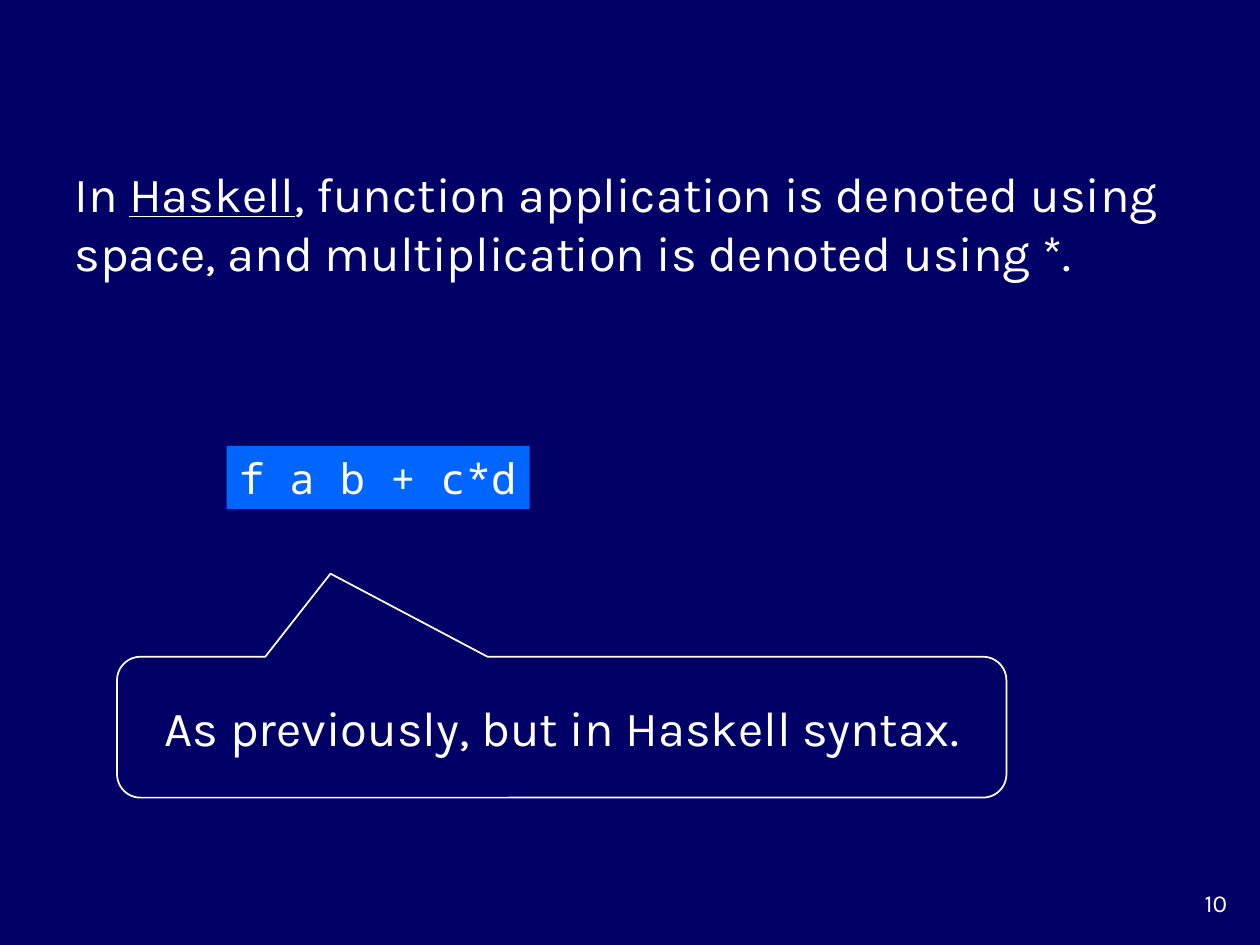
from pptx import Presentation
from pptx.dml.color import RGBColor
from pptx.enum.shapes import MSO_SHAPE
from pptx.enum.text import MSO_ANCHOR, PP_ALIGN
from pptx.util import Cm, Pt

NAVY = RGBColor(0x00, 0x00, 0x66)
BLUE = RGBColor(0x00, 0x66, 0xFF)
WHITE = RGBColor(0xFF, 0xFF, 0xFF)
RECT = MSO_SHAPE.RECTANGLE
CALLOUT = MSO_SHAPE.ROUNDED_RECTANGULAR_CALLOUT
LEFT, CENTER, RIGHT = PP_ALIGN.LEFT, PP_ALIGN.CENTER, PP_ALIGN.RIGHT
TOP, MIDDLE = MSO_ANCHOR.TOP, MSO_ANCHOR.MIDDLE


def write(shape, *parts, size=28, font="Karla", align=LEFT, anchor=TOP,
          wrap=True, under=None):
    frame = shape.text_frame
    frame.word_wrap = wrap
    frame.vertical_anchor = anchor
    line = frame.paragraphs[0]
    line.alignment = align
    for part in parts:
        run = line.add_run()
        run.text = part
        run.font.size = Pt(size)
        run.font.name = font
        run.font.color.rgb = WHITE
        if part == under:
            run.font.underline = True


def add_text(slide, box, *parts, **style):
    shape = slide.shapes.add_textbox(*map(Cm, box))
    write(shape, *parts, **style)


def add_code(slide, box, code):
    shape = slide.shapes.add_shape(RECT, *map(Cm, box))
    shape.shadow.inherit = False
    shape.fill.solid()
    shape.fill.fore_color.rgb = BLUE
    shape.line.fill.background()
    write(shape, code, size=24, font="Noto Sans Mono", wrap=False)


def add_callout(slide, box, tip, note):
    shape = slide.shapes.add_shape(CALLOUT, *map(Cm, box))
    shape.shadow.inherit = False
    shape.fill.background()
    shape.line.color.rgb = WHITE
    shape.line.width = Pt(1)
    shape.adjustments[0], shape.adjustments[1] = tip
    write(shape, note, align=CENTER, anchor=MIDDLE)


def main():
    deck = Presentation()
    deck.slide_width, deck.slide_height = Cm(25.4), Cm(19.05)
    slide = deck.slides.add_slide(deck.slide_layouts[6])
    slide.background.fill.solid()
    slide.background.fill.fore_color.rgb = NAVY

    add_text(slide, (1.25, 3.18, 22.86, 2.64), "In ", "Haskell",
             ", function application is denoted using space, "
             "and multiplication is denoted using *.", under="Haskell")
    add_code(slide, (4.57, 8.99, 6.11, 1.27), "f a b + c*d")
    add_callout(slide, (2.36, 13.24, 17.93, 2.84), (-0.26, -1.09),
                "As previously, but in Haskell syntax.")
    add_text(slide, (23.29, 17.78, 1.7, 0.84), "10", size=14, align=RIGHT)
    deck.save("out.pptx")


if __name__ == "__main__":
    main()
